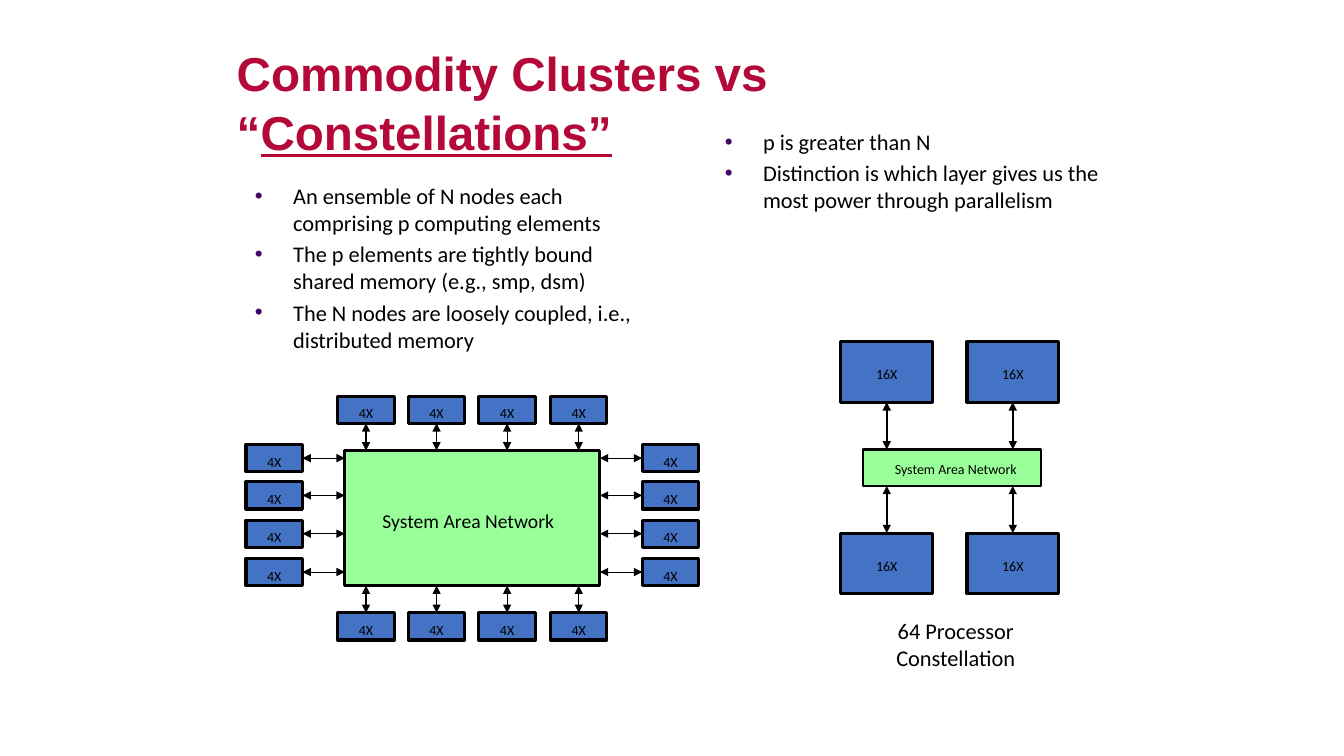
from lxml.etree import SubElement
from pptx import Presentation
from pptx.dml.color import RGBColor
from pptx.enum.shapes import MSO_CONNECTOR, MSO_SHAPE
from pptx.enum.text import MSO_ANCHOR, PP_ALIGN
from pptx.oxml.ns import qn
from pptx.util import Pt

SCALE = 9144
HUES = {"title": "B30838", "ink": "000000", "node": "4472C4",
        "hub": "99FF99", "dot": "430467"}


def px(size):
    """Turn a length in px into EMU."""
    return int(size * SCALE)


def hue(name):
    """Return the named colour."""
    return RGBColor.from_string(HUES[name])


def write(frame, texts, size=16, font="Calibri", color="ink", bold=False,
          align=PP_ALIGN.LEFT, anchor=MSO_ANCHOR.TOP, inset=(10, 5, 10, 5),
          bullet=False, gap=0, leading=None):
    """Fill a frame with paragraphs, each a list of (text, underline) runs."""
    frame.word_wrap = True
    frame.vertical_anchor = anchor
    (frame.margin_left, frame.margin_top,
     frame.margin_right, frame.margin_bottom) = map(px, inset)
    for i, runs in enumerate(texts):
        para = frame.add_paragraph() if i else frame.paragraphs[0]
        para.alignment = align
        if leading:
            para.line_spacing = leading
        if i and gap:
            para.space_before = Pt(gap)
        if bullet:
            props = para._p.get_or_add_pPr()
            props.set("marL", str(px(38)))
            props.set("indent", str(px(-38)))
            tint = SubElement(props, qn("a:buClr"))
            SubElement(tint, qn("a:srgbClr"), val=HUES["dot"])
            SubElement(props, qn("a:buFont"), typeface="Arial")
            SubElement(props, qn("a:buChar"), char="•")
        for text, under in runs:
            run = para.add_run()
            run.text = text
            run.font.name, run.font.size = font, Pt(size)
            run.font.bold, run.font.underline = bold, under
            run.font.color.rgb = hue(color)


def label(site, box, texts, **style):
    """Add a text box."""
    write(site.add_textbox(*map(px, box)).text_frame, texts, **style)


def block(site, box, text, fill, inset, size=10, width=2.25):
    """Add a filled, outlined rectangle with centred text."""
    rect = site.add_shape(MSO_SHAPE.RECTANGLE, *map(px, box))
    rect.shadow.inherit = False
    rect.fill.solid()
    rect.fill.fore_color.rgb = hue(fill)
    rect.line.color.rgb = hue("ink")
    rect.line.width = Pt(width)
    write(rect.text_frame, [[(text, False)]], size=size, inset=inset,
          align=PP_ALIGN.CENTER, anchor=MSO_ANCHOR.MIDDLE)
    return rect


def link(site, node, side, hub, width):
    """Join the middle of a node's side straight to the facing hub edge."""
    x, y = node.left + node.width // 2, node.top + node.height // 2
    start, end = {
        0: ((x, node.top), (x, hub.top + hub.height)),
        1: ((node.left, y), (hub.left + hub.width, y)),
        2: ((x, node.top + node.height), (x, hub.top)),
        3: ((node.left + node.width, y), (hub.left, y))}[side]
    line = site.add_connector(MSO_CONNECTOR.STRAIGHT, *start, *end)
    line.begin_connect(node, side)
    line.line.color.rgb = hue("ink")
    line.line.width = Pt(width)
    stroke = line.line._get_or_add_ln()
    for tip in ("a:headEnd", "a:tailEnd"):
        SubElement(stroke, qn(tip), type="triangle")
    SubElement(line._element.spPr, qn("a:effectLst"))


def cluster(slide, left, top):
    """Draw sixteen small nodes around a large network."""
    site = slide.shapes.add_group_shape().shapes
    hub = block(site, (left + 98, top + 54, 253, 134), "System Area Network",
                "hub", (0, 6, 8, 0), size=14)
    for i in range(4):
        col, row = left + 91 + 211 * i // 3, top + 48 + 113 * i // 3
        for x, y, side in ((col, top, 2), (col, top + 215, 0),
                           (left, row, 3), (left + 393, row, 1)):
            node = block(site, (x, y, 56, 27), "4X", "node", (0, 7, 0, 0))
            link(site, node, side, hub, 0.75)


def stars(slide, left, top):
    """Draw four large nodes around a small network, with a caption."""
    site = slide.shapes.add_group_shape().shapes
    hub = block(site, (left + 22, top + 107, 177, 36), "System Area Network",
                "hub", (7, 3, 0, 0), width=1.5)
    for x in (left, left + 125):
        for y, side in ((top, 2), (top + 190, 0)):
            node = block(site, (x, y, 91, 60), "16X", "node", (0, 4, 0, 0))
            link(site, node, side, hub, 1.5)
    label(site, (left + 34, top + 268, 160, 64),
          [[("64 Processor Constellation", False)]], align=PP_ALIGN.CENTER)


def points(slide, box, texts):
    """Add a bulleted list."""
    label(slide.shapes, box, [[(text, False)] for text in texts],
          bullet=True, gap=3.2, inset=(10, 5, 27, 5))


def main():
    """Build and save the slide."""
    deck = Presentation()
    deck.slide_width, deck.slide_height = px(1333), px(750)
    slide = deck.slides.add_slide(deck.slide_layouts[6])
    label(slide.shapes, (225, 33, 900, 61),
          [[("Commodity Clusters vs “", False), ("Constellations”", True)]],
          size=34, font="Arial", color="title", bold=True, leading=1.04,
          inset=(10, 8, 10, 5))
    stars(slide, 834, 339)
    cluster(slide, 244, 393)
    points(slide, (243, 176, 417, 192), (
        "An ensemble of N nodes each comprising p computing elements",
        "The p elements are tightly bound shared memory (e.g., smp, dsm)",
        "The N nodes are loosely coupled, i.e., distributed memory"))
    points(slide, (709, 122, 417, 125), (
        "p is greater than N",
        "Distinction is which layer gives us the most power through parallelism"))
    deck.save("out.pptx")


if __name__ == "__main__":
    main()
